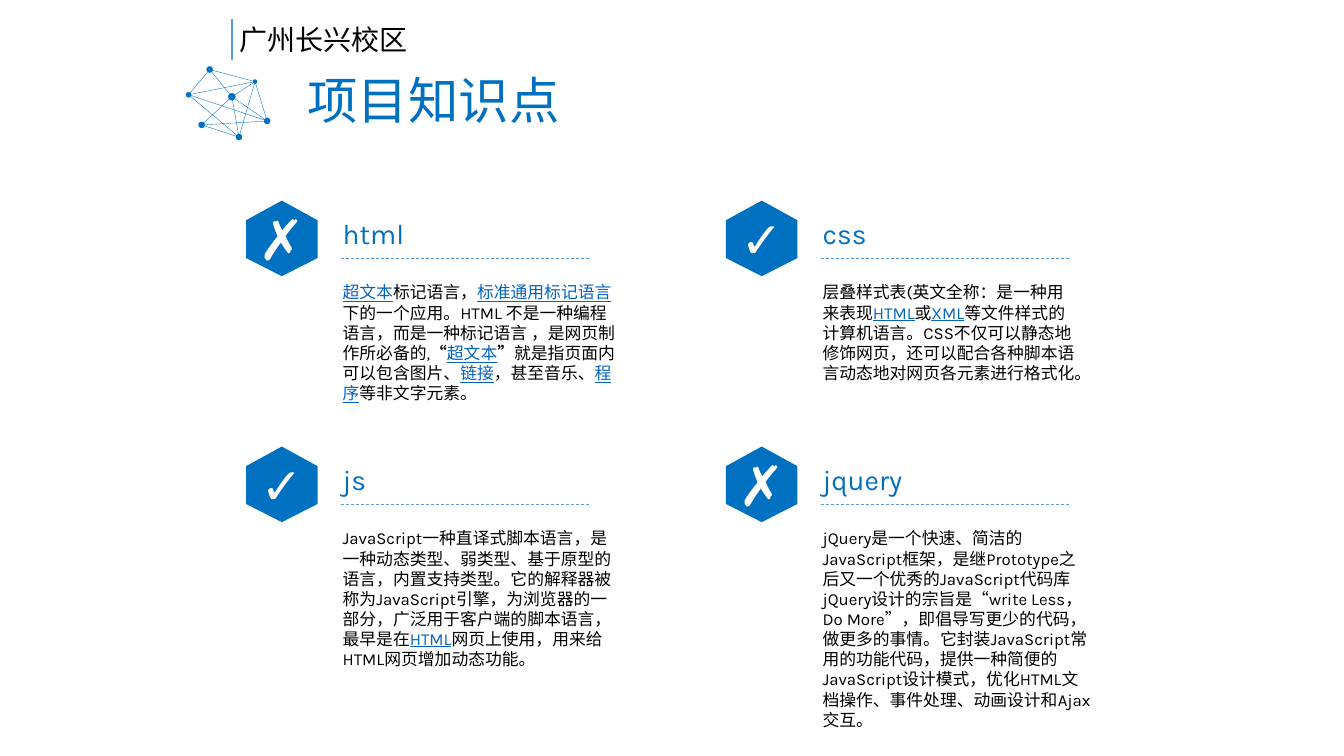
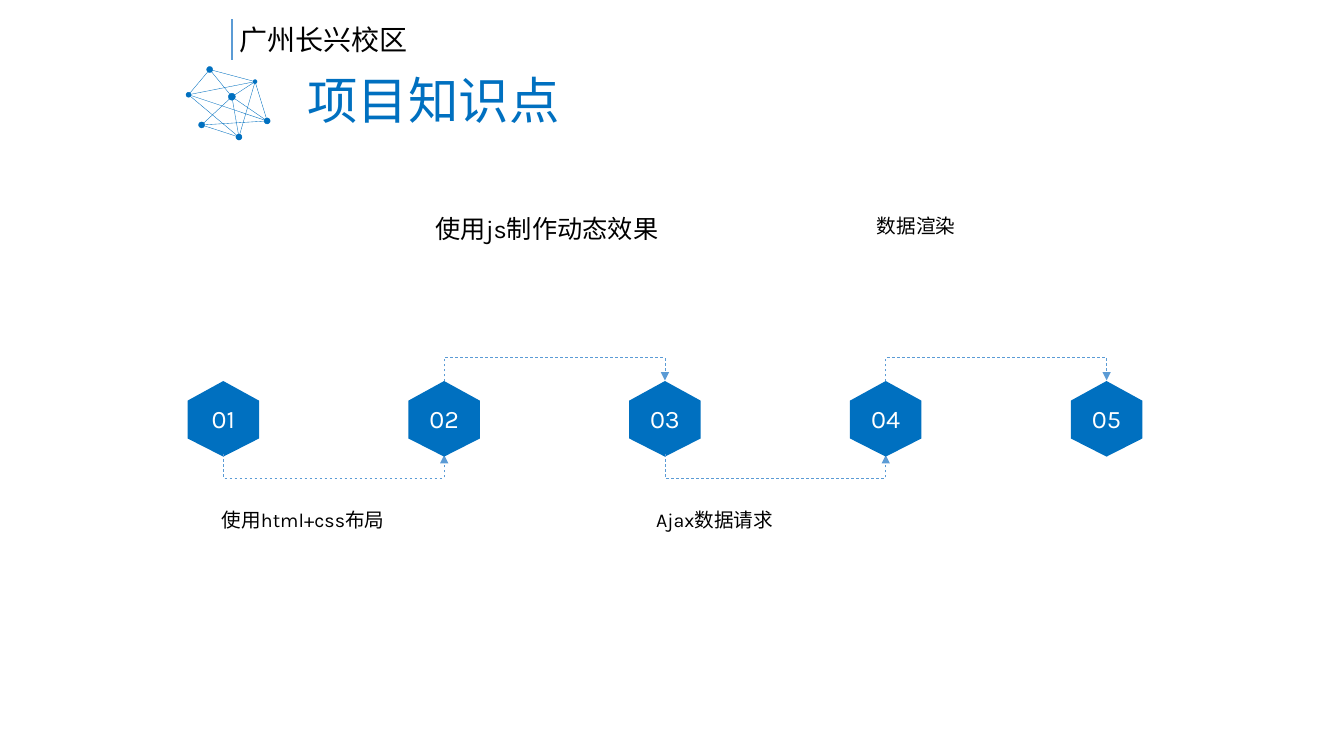
import pptx
import pptx.dml.color
import pptx.enum.dml
import pptx.enum.shapes
import pptx.enum.text
import pptx.oxml
import pptx.oxml.ns
import pptx.util

BLUE, LINE_BLUE, LINK_BLUE = "0070C0", "5B9BD5", "0563C1"
BLACK, WHITE = "000000", "FFFFFF"
LATIN_FONT, CHINESE_FONT = "Karla", "Noto Sans CJK KR"
PLAIN, LINK, BOLD = "plain", "link", "bold"
HEXAGON_WIDTH, HEXAGON_HEIGHT = 0.71, 0.75
HEXAGON_OUTLINE = [(0.5, 1), (1, 0.76), (1, 0.26), (0.5, 0), (0, 0.26), (0, 0.76)]
TOPIC_LEFT, TOPIC_TOP, TOPIC_COLUMN, TOPIC_ROW = 2.44, 1.99, 4.76, 2.44
STEP_LEFT, STEP_TOP, STEP_COLUMN = 1.86, 3.78, 2.19
ELBOW_RISE, ELBOW_DEPTH = 0.01, 0.24

NODES = {
    "top": (2.08, 0.69, 0.06), "hub": (2.3, 0.96, 0.07),
    "upper right": (2.53, 0.81, 0.04), "left": (1.87, 0.94, 0.05),
    "lower left": (2.0, 1.24, 0.06), "bottom": (2.37, 1.36, 0.06),
    "right": (2.65, 1.2, 0.06),
}
EDGES = [
    ("top", "left"), ("top", "upper right"), ("top", "hub"),
    ("left", "bottom"), ("left", "right"), ("left", "upper right"),
    ("bottom", "upper right"), ("bottom", "hub"), ("bottom", "lower left"),
    ("hub", "right"), ("hub", "upper right"), ("hub", "lower left"),
    ("right", "upper right"), ("right", "lower left"),
]

TOPICS = [
    (0, 0, "✗", 40, "html", 2.98, [
        ("超文本", LINK), ("标记语言，", PLAIN), ("标准通用标记语言", LINK),
        ("下的一个应用。HTML 不是一种编程语言，而是一种标记语言 ，是网页制作所必备的,", PLAIN),
        ("“", BOLD), ("超文本", LINK), ("”", BOLD),
        ("就是指页面内可以包含图片、", PLAIN), ("链接", LINK),
        ("，甚至音乐、", PLAIN), ("程序", LINK), ("等非文字元素。", PLAIN)]),
    (1, 0, "✓", 36, "css", 2.71, [
        ("层叠样式表(英文全称：是一种用来表现", PLAIN), ("HTML", LINK),
        ("或", PLAIN), ("XML", LINK),
        ("等文件样式的计算机语言。CSS不仅可以静态地修饰网页，"
         "还可以配合各种脚本语言动态地对网页各元素进行格式化。", PLAIN)]),
    (0, 1, "✓", 36, "js", 2.98, [
        ("JavaScript一种直译式脚本语言，是一种动态类型、弱类型、基于原型的语言，"
         "内置支持类型。它的解释器被称为JavaScript引擎，为浏览器的一部分，"
         "广泛用于客户端的脚本语言，最早是在", PLAIN), ("HTML", LINK),
        ("网页上使用，用来给HTML网页增加动态功能。", PLAIN)]),
    (1, 1, "✗", 40, "jquery", 2.86, [
        ("jQuery是一个快速、简洁的JavaScript框架，是继Prototype之后又一个优秀的"
         "JavaScript代码库jQuery设计的宗旨是“write Less，Do More”，"
         "即倡导写更少的代码，做更多的事情。它封装JavaScript常用的功能代码，"
         "提供一种简便的JavaScript设计模式，优化HTML文档操作、事件处理、"
         "动画设计和Ajax交互。", PLAIN)]),
]

STEP_LABELS = [
    ("使用html+css布局", 2.1, 4.99, 2.65, 14),
    ("使用js制作动态效果", 4.22, 2.07, 2.98, 18),
    ("Ajax数据请求", 6.41, 4.99, 2.73, 14),
    ("数据渲染", 8.6, 2.07, 2.73, 14),
]


def inches(*lengths):
    """Return the lengths in inches as slide units."""
    return [pptx.util.Inches(length) for length in lengths]


def color(value):
    """Return the colour for a hex string."""
    return pptx.dml.color.RGBColor.from_string(value)


def format_run(run, size, value, latin=LATIN_FONT, chinese=CHINESE_FONT):
    """Set the size, colour and fonts of a run."""
    run.font.size = pptx.util.Pt(size)
    run.font.color.rgb = color(value)
    run.font.name = latin
    east = pptx.oxml.parse_xml(
        f'<a:ea {pptx.oxml.ns.nsdecls("a")} typeface="{chinese}"/>')
    run.font.element.find(pptx.oxml.ns.qn("a:latin")).addnext(east) if hasattr(
        run.font, "element") else run._r.rPr.find(
        pptx.oxml.ns.qn("a:latin")).addnext(east)


def add_text(slide, segments, left, top, width, height, size, value=BLACK,
             latin=LATIN_FONT):
    """Add a wrapped text box of styled segments."""
    box = slide.shapes.add_textbox(*inches(left, top, width, height))
    box.text_frame.word_wrap = True
    paragraph = box.text_frame.paragraphs[0]
    for text, style in segments:
        run = paragraph.add_run()
        run.text = text
        format_run(run, size, LINK_BLUE if style == LINK else value, latin)
        if style == LINK:
            run.font.underline = True
        if style == BOLD:
            run.font.bold = True


def style_connector(connector, value, weight, dashed=False, arrow=False):
    """Set the line of a connector and clear its shadow."""
    connector.line.color.rgb = color(value)
    connector.line.width = pptx.util.Pt(weight)
    if dashed:
        connector.line.dash_style = pptx.enum.dml.MSO_LINE.DASH
    properties = connector.element.spPr
    namespace = pptx.oxml.ns.nsdecls("a")
    if arrow:
        properties.find(pptx.oxml.ns.qn("a:ln")).append(
            pptx.oxml.parse_xml(f'<a:tailEnd {namespace} type="triangle"/>'))
    properties.append(pptx.oxml.parse_xml(f"<a:effectLst {namespace}/>"))


def add_line(shapes, start, end, value, weight, dashed=False):
    """Add a straight line between two points."""
    connector = shapes.add_connector(
        pptx.enum.shapes.MSO_CONNECTOR.STRAIGHT, *inches(*start, *end))
    style_connector(connector, value, weight, dashed)


def add_elbow(slide, left, y, width, above):
    """Add a dashed arrow that loops above or below a row of hexagons."""
    middle = left + width / 2
    connector = slide.shapes.add_connector(
        pptx.enum.shapes.MSO_CONNECTOR.ELBOW,
        *inches(middle - ELBOW_RISE / 2, y - width / 2,
                middle + ELBOW_RISE / 2, y + width / 2))
    frame = connector.element.spPr.find(pptx.oxml.ns.qn("a:xfrm"))
    frame.set("rot", str((90 if above else 270) * 60000))
    frame.set("flipH", "1")
    if above:
        frame.set("flipV", "1")
    geometry = connector.element.spPr.find(pptx.oxml.ns.qn("a:prstGeom"))
    bend = round(ELBOW_DEPTH / ELBOW_RISE * 100000)
    geometry.find(pptx.oxml.ns.qn("a:avLst")).append(pptx.oxml.parse_xml(
        f'<a:gd {pptx.oxml.ns.nsdecls("a")} name="adj1" fmla="val {bend}"/>'))
    style_connector(connector, LINE_BLUE, 0.5, dashed=True, arrow=True)


def add_hexagon(slide, left, top, text, size):
    """Add an upright blue hexagon with centred white text."""
    points = [inches(left + x * HEXAGON_WIDTH, top + y * HEXAGON_HEIGHT)
              for x, y in HEXAGON_OUTLINE]
    builder = slide.shapes.build_freeform(*points[0])
    builder.add_line_segments(points[1:], close=True)
    hexagon = builder.convert_to_shape()
    hexagon.shadow.inherit = False
    hexagon.fill.solid()
    hexagon.fill.fore_color.rgb = color(BLUE)
    hexagon.line.fill.background()
    frame = hexagon.text_frame
    frame.margin_left = frame.margin_right = 0
    frame.vertical_anchor = pptx.enum.text.MSO_ANCHOR.MIDDLE
    frame.text = text
    paragraph = frame.paragraphs[0]
    paragraph.alignment = pptx.enum.text.PP_ALIGN.CENTER
    format_run(paragraph.runs[0], size, WHITE, chinese=LATIN_FONT)


def add_network(slide, layout):
    """Draw the network ornament and place it on the shared layout."""
    group = slide.shapes.add_group_shape()
    for start, end in EDGES:
        add_line(group.shapes, NODES[start][:2], NODES[end][:2], BLUE, 0.25)
    for x, y, size in NODES.values():
        dot = group.shapes.add_shape(
            pptx.enum.shapes.MSO_SHAPE.OVAL,
            *inches(x - size / 2, y - size / 2, size, size))
        dot.shadow.inherit = False
        dot.fill.solid()
        dot.fill.fore_color.rgb = color(BLUE)
        dot.line.color.rgb = color(BLUE)
        dot.line.width = pptx.util.Pt(0.25)
    layout.shapes.element.append(group.element)


def add_titled_slide(presentation, layout):
    """Add a slide with the shared title and campus header."""
    slide = presentation.slides.add_slide(layout)
    title = slide.shapes.title
    title.left, title.top, title.width, title.height = inches(2.95, 0.59, 7.93, 0.86)
    title.text_frame.text = "项目知识点"
    title.text_frame.vertical_anchor = pptx.enum.text.MSO_ANCHOR.MIDDLE
    paragraph = title.text_frame.paragraphs[0]
    paragraph.alignment = pptx.enum.text.PP_ALIGN.LEFT
    paragraph.line_spacing = 0.9
    format_run(paragraph.runs[0], 36, BLUE)
    add_text(slide, [("广州长兴校区", PLAIN)], 2.28, 0.17, 2.44, 0.44, 20,
             latin=CHINESE_FONT)
    add_line(slide.shapes, (2.3, 0.19), (2.3, 0.6), LINE_BLUE, 1.5)
    return slide


def add_topic(slide, column, row, mark, mark_size, heading, width, body):
    """Add one topic: marked hexagon, heading, rule and description."""
    left = TOPIC_LEFT + column * TOPIC_COLUMN
    top = TOPIC_TOP + row * TOPIC_ROW
    add_hexagon(slide, left, top, mark, mark_size)
    add_line(slide.shapes, (left + 0.94, top + 0.57), (left + 3.42, top + 0.57),
             LINE_BLUE, 0.5, dashed=True)
    add_text(slide, [(heading, PLAIN)], left + 0.86, top + 0.11, 2.71, 0.44, 20, BLUE)
    add_text(slide, body, left + 0.86, top + 0.76, width, 1.5, 12)


def add_steps(slide):
    """Add the five numbered steps, their arrows and labels."""
    for index in range(5):
        left = STEP_LEFT + index * STEP_COLUMN
        add_hexagon(slide, left, STEP_TOP, f"{index + 1:02d}", 18)
        if index < 4:
            above = index % 2 == 1
            y = STEP_TOP if above else STEP_TOP + HEXAGON_HEIGHT - 0.02
            add_elbow(slide, left + HEXAGON_WIDTH / 2, y, STEP_COLUMN, above)
    for text, left, top, width, size in STEP_LABELS:
        add_text(slide, [(text, PLAIN)], left, top, width, 0.34, size)


def main():
    """Build and save the presentation."""
    presentation = pptx.Presentation()
    presentation.slide_width, presentation.slide_height = inches(13.33, 7.5)
    layout = presentation.slide_layouts[5]
    topic_slide = add_titled_slide(presentation, layout)
    for topic in TOPICS:
        add_topic(topic_slide, *topic)
    add_network(topic_slide, layout)
    add_steps(add_titled_slide(presentation, layout))
    presentation.save("out.pptx")


if __name__ == "__main__":
    main()
